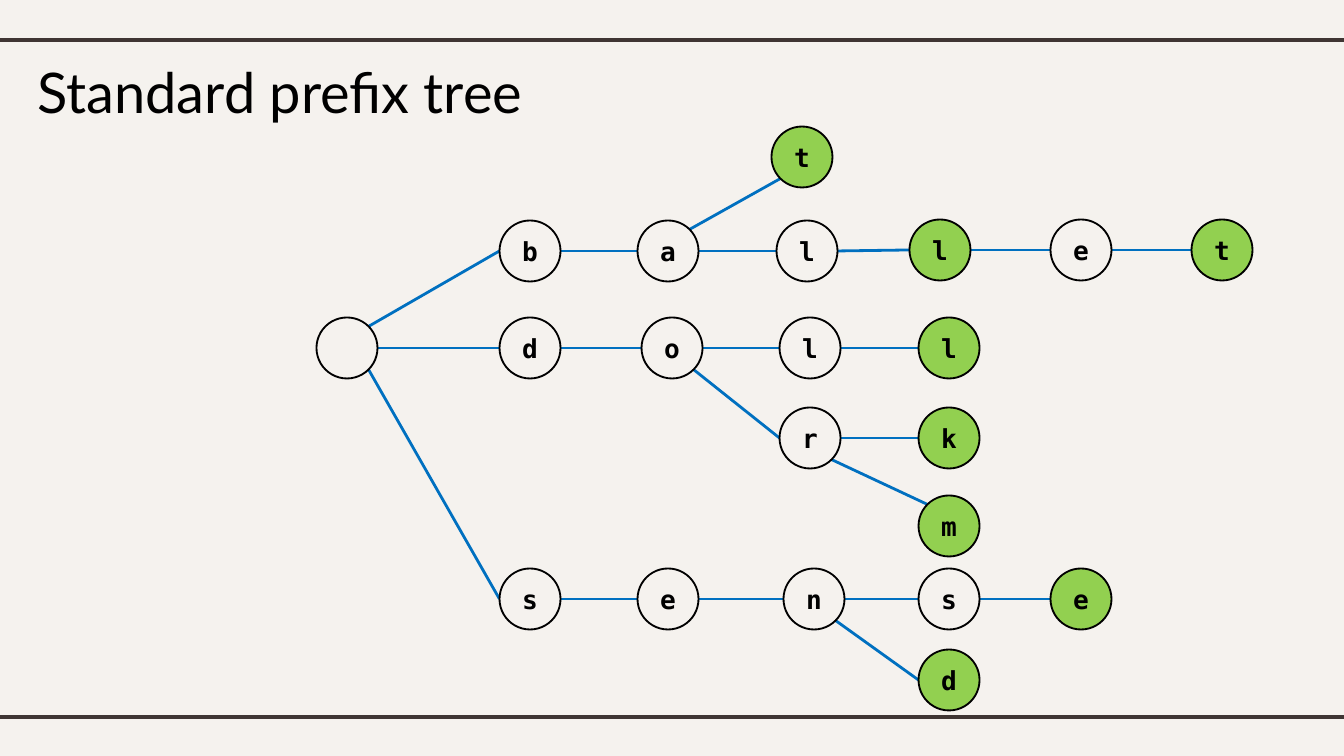
import math

from lxml import etree
from pptx import Presentation
from pptx import util as u
from pptx.dml.color import RGBColor
from pptx.enum import shapes, text
from pptx.oxml.ns import qn

# Scale: the slide is 1344 x 756 px
EMU_PER_PX = u.Inches(10) / 1344
WIDTH, HEIGHT = 1344, 756
DIAMETER = 61

PAPER = RGBColor(0xF5, 0xF2, 0xEE)
RULE = RGBColor(0x3F, 0x35, 0x33)
EDGE = RGBColor(0x00, 0x70, 0xC0)
WORD_END = RGBColor(0x92, 0xD0, 0x50)
BLACK = RGBColor(0x00, 0x00, 0x00)

# Centre of each node, keyed by its prefix; the parent is the prefix less a letter
NODES = {
    "": (347, 348),
    "b": (530, 251), "ba": (668, 251), "bal": (807, 251),
    "ball": (940, 250), "balle": (1081, 250), "ballet": (1222, 250),
    "bat": (802, 157),
    "d": (530, 348), "do": (672, 348), "dol": (810, 348), "doll": (949, 348),
    "dor": (810, 438), "dork": (949, 438), "dorm": (949, 526),
    "s": (530, 599), "se": (668, 599), "sen": (814, 599),
    "sens": (949, 599), "sense": (1081, 599), "send": (949, 680),
}
WORDS = {"bat", "ball", "ballet", "doll", "dork", "dorm", "sense", "send"}

# Edges enter a node from the left (180 degrees) except here
ENTRY_ANGLES = {"bat": 135, "dorm": 225}


def px(length):
    return u.Emu(round(length * EMU_PER_PX))


def add_line(page, start, end, color, width):
    line = page.shapes.add_connector(
        shapes.MSO_CONNECTOR.STRAIGHT, *map(px, (*start, *end)))
    line.line.color.rgb = color
    line.line.width = u.Pt(width)
    etree.SubElement(line._element.spPr, qn("a:effectLst"))


def rim_point(center, angle):
    """Point on a node's circle; angles run clockwise from the right."""
    turn = math.radians(angle)
    return (center[0] + DIAMETER / 2 * math.cos(turn),
            center[1] + DIAMETER / 2 * math.sin(turn))


def add_edge(page, prefix):
    parent, child = NODES[prefix[:-1]], NODES[prefix]
    drop = child[1] - parent[1]
    same_row = abs(drop) < 5
    exit_angle = 0 if same_row else math.copysign(45, drop)
    add_line(page, rim_point(parent, exit_angle),
             rim_point(child, ENTRY_ANGLES.get(prefix, 180)), EDGE, 1.5)


def add_node(page, prefix):
    x, y = NODES[prefix]
    circle = page.shapes.add_shape(
        shapes.MSO_SHAPE.OVAL, px(x - DIAMETER / 2), px(y - DIAMETER / 2),
        px(DIAMETER), px(DIAMETER))
    circle.shadow.inherit = False
    circle.fill.solid()
    circle.fill.fore_color.rgb = WORD_END if prefix in WORDS else PAPER
    circle.line.color.rgb = BLACK
    circle.line.width = u.Pt(1)
    if not prefix:
        return
    frame = circle.text_frame
    frame.margin_left = frame.margin_right = 0
    frame.margin_top = frame.margin_bottom = 0
    frame.vertical_anchor = text.MSO_ANCHOR.MIDDLE
    para = frame.paragraphs[0]
    para.text = prefix[-1]
    para.alignment = text.PP_ALIGN.CENTER
    para.font.name = "DejaVu Sans Mono"
    para.font.size = u.Pt(14)
    para.font.bold = True
    para.font.color.rgb = BLACK


def set_title(page, wording):
    title = page.shapes.title
    title.left, title.top, title.width, title.height = map(px, (24, 44, 726, 95))
    frame = title.text_frame
    frame.margin_left = frame.margin_right = u.Inches(0.1)
    frame.margin_top = frame.margin_bottom = u.Inches(0.1)
    frame.vertical_anchor = text.MSO_ANCHOR.TOP
    frame.auto_size = text.MSO_AUTO_SIZE.NONE
    para = frame.paragraphs[0]
    para.text = wording
    para.alignment = text.PP_ALIGN.LEFT
    para.font.name = "Lato"
    para.font.size = u.Pt(30)
    para.font.color.rgb = BLACK


def main():
    deck = Presentation()
    deck.slide_width, deck.slide_height = px(WIDTH), px(HEIGHT)
    page = deck.slides.add_slide(deck.slide_layouts[5])
    page.background.fill.solid()
    page.background.fill.fore_color.rgb = PAPER

    # Frame and title
    for y in (40, 717):
        add_line(page, (-11, y), (WIDTH + 11, y), RULE, 2.25)
    set_title(page, "Standard prefix tree")

    # Prefix tree: edges first, nodes on top
    for prefix in filter(None, NODES):
        add_edge(page, prefix)
    for prefix in NODES:
        add_node(page, prefix)

    deck.save("out.pptx")


if __name__ == "__main__":
    main()
